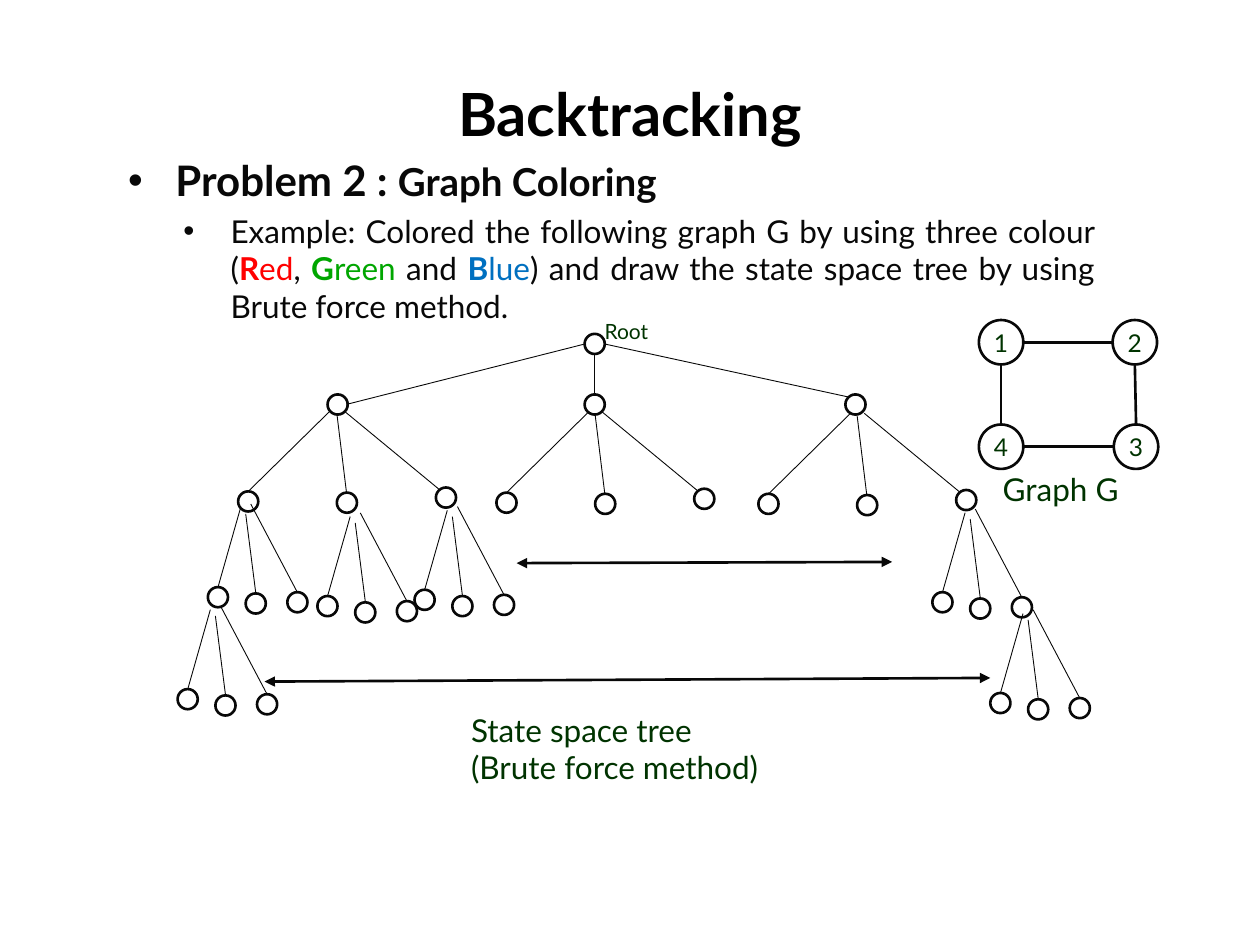
from lxml.etree import SubElement
from pptx import Presentation
from pptx.dml.color import RGBColor
from pptx.enum.shapes import MSO_CONNECTOR, MSO_SHAPE
from pptx.enum.text import MSO_ANCHOR, PP_ALIGN
from pptx.oxml.ns import qn
from pptx.util import Pt

INK, GREEN = "080808", "003300"
NODE = 11.5
VERTEX = 25.4

TOP_FAN = {
    "nodes": [(0, 0), (146.9, 0), (295.9, 0)],
    "edges": [((146.9, -28.8), (10.8, 5.7)),
              ((152.6, -23.1), (152.6, 0)),
              ((158.4, -28.8), (297.4, 1.4))],
}
WIDE_FAN = {
    "nodes": [(0, 0), (56.4, 0.7), (113, -2.2)],
    "edges": [((52.6, -46), (5.8, 0)),
              ((56.4, -44.6), (61.9, 0.7)),
              ((60.5, -46), (115.4, -0.7))],
}
NARROW_FAN = {
    "nodes": [(0, 0), (21.6, 3.6), (45.4, 2.9)],
    "edges": [((18.7, -45.4), (5.8, 0)),
              ((21.6, -41.8), (27.4, 3.6)),
              ((24.5, -47.5), (51.1, 2.9))],
}
TREE = [
    (TOP_FAN, [(187.2, 225.4)]),
    (WIDE_FAN, [(136.1, 280.8), (283.7, 281.5), (433.4, 282.2)]),
    (NARROW_FAN, [(118.8, 335.5), (181.4, 340.6), (236.9, 337), (532.8, 338.4),
                  (101.5, 393.8), (565.9, 396)]),
]
SPANS = [((295.2, 321.8), (509.8, 321.1)), ((151.2, 389.5), (565.9, 387.4))]
VERTICES = {"1": (559.4, 182.9), "2": (635.8, 182.9),
            "3": (636.5, 242.6), "4": (559.4, 242.6)}


def color(value):
    """Turn a hex string into a colour."""
    return RGBColor.from_string(value)


def add_span(para, text, size, ink=GREEN, bold=False):
    """Append a formatted run to a paragraph."""
    span = para.add_run()
    span.text = text
    span.font.color.rgb = color(ink)
    for name, value in {"name": "Lato", "size": Pt(size), "bold": bold}.items():
        setattr(span.font, name, value)


def add_text(page, area, paragraphs, size, ink=GREEN, bold=False,
             align=PP_ALIGN.LEFT, anchor=MSO_ANCHOR.TOP):
    """Add a text box with one uniform paragraph per string."""
    box = page.shapes.add_textbox(*map(Pt, area))
    frame = box.text_frame
    frame.word_wrap = True
    frame.vertical_anchor = anchor
    for index, text in enumerate(paragraphs):
        para = frame.add_paragraph() if index else frame.paragraphs[0]
        para.alignment = align
        add_span(para, text, size, ink, bold)
    return box


def add_bullet(para, level, margin, before):
    """Give a paragraph a hanging round bullet."""
    formats = {"alignment": PP_ALIGN.JUSTIFY, "level": level, "space_before": Pt(before)}
    for name, value in formats.items():
        setattr(para, name, value)
    properties = para._p.get_or_add_pPr()
    properties.set("marL", str(Pt(margin)))
    properties.set("indent", str(Pt(-27)))
    SubElement(properties, qn("a:buFont"), typeface="Arial")
    SubElement(properties, qn("a:buChar"), char="•")


def add_problem(page):
    """Add the problem statement with its coloured words."""
    box = page.shapes.add_textbox(Pt(66.2), Pt(85), Pt(566.6), Pt(98.6))
    frame = box.text_frame
    frame.word_wrap = True
    heading, example = frame.paragraphs[0], frame.add_paragraph()
    add_bullet(heading, 0, 27, 0)
    add_span(heading, "Problem 2 : ", 24, INK, True)
    add_span(heading, "Graph Coloring", 22, INK, True)
    add_bullet(example, 1, 58.5, 3.6)
    parts = [
        ("Example: Colored the following graph G by using three colour (", INK, False),
        ("R", "FF0000", True), ("ed", "FF0000", False), (", ", INK, False),
        ("G", "00A600", True), ("reen", "00A600", False), (" and ", INK, False),
        ("B", "0070C0", True), ("lue", "0070C0", False),
        (") and draw the state space tree by using Brute force method.", INK, False),
    ]
    for text, ink, bold in parts:
        add_span(example, text, 18, ink, bold)


def add_circle(page, left, top, size, label=""):
    """Add an outlined circle, with a centred label if given."""
    circle = page.shapes.add_shape(MSO_SHAPE.OVAL, Pt(left), Pt(top), Pt(size), Pt(size))
    circle.shadow.inherit = False
    circle.fill.background()
    circle.line.color.rgb = color(INK)
    circle.line.width = Pt(1.5)
    if label:
        frame = circle.text_frame
        for side in ("left", "top", "right", "bottom"):
            setattr(frame, f"margin_{side}", 0)
        frame.vertical_anchor = MSO_ANCHOR.MIDDLE
        frame.paragraphs[0].alignment = PP_ALIGN.CENTER
        add_span(frame.paragraphs[0], label, 14)


def add_line(page, start, end, width, arrows=False):
    """Add a straight line, with arrowheads at both ends if asked."""
    line = page.shapes.add_connector(MSO_CONNECTOR.STRAIGHT, *map(Pt, (*start, *end)))
    line.line.color.rgb = color(INK)
    line.line.width = Pt(width)
    if arrows:
        for tag in ("a:headEnd", "a:tailEnd"):
            SubElement(line.line._get_or_add_ln(), qn(tag), type="triangle")
    SubElement(line._element.spPr, qn("a:effectLst"))


def add_fan(page, fan, origin):
    """Add three sibling nodes and the edges from their parent."""
    def place(point):
        return origin[0] + point[0], origin[1] + point[1]

    for start, end in fan["edges"]:
        add_line(page, place(start), place(end), 0.5)
    for node in fan["nodes"]:
        add_circle(page, *place(node), NODE)


def add_graph(page):
    """Add graph G as a cycle of four numbered vertices."""
    half = VERTEX / 2
    for label, corner in VERTICES.items():
        add_circle(page, *corner, VERTEX, label)
    for first, second in ("12", "43"):
        (left, top), (right, _) = VERTICES[first], VERTICES[second]
        add_line(page, (left + VERTEX, top + half), (right, top + half), 1.5)
    for first, second in ("23", "14"):
        (upper, top), (lower, bottom) = VERTICES[first], VERTICES[second]
        add_line(page, (upper + half, top + VERTEX), (lower + half, bottom), 1.5)
    add_text(page, (565.9, 265, 95.8, 28.8), ["Graph G"], 18)


def add_tree(page):
    """Add the state space tree with its captions."""
    add_circle(page, 334.1, 190.8, NODE)
    for fan, origins in TREE:
        for origin in origins:
            add_fan(page, fan, origin)
    for start, end in SPANS:
        add_line(page, start, end, 1.5, arrows=True)
    add_text(page, (338.4, 178.6, 66.2, 21.6), ["Root"], 12)
    add_text(page, (262.1, 402.5, 238.3, 51.1),
             ["State space tree", "(Brute force method)"], 18)


def main():
    """Build the slide and save the deck."""
    deck = Presentation()
    deck.slide_width, deck.slide_height = Pt(720), Pt(540)
    page = deck.slides.add_slide(deck.slide_layouts[6])
    add_text(page, (36, 36, 648, 56.9), ["Backtracking"], 34, "000000", True,
             PP_ALIGN.CENTER, MSO_ANCHOR.MIDDLE)
    add_problem(page)
    add_graph(page)
    add_tree(page)
    deck.save("out.pptx")


if __name__ == "__main__":
    main()
